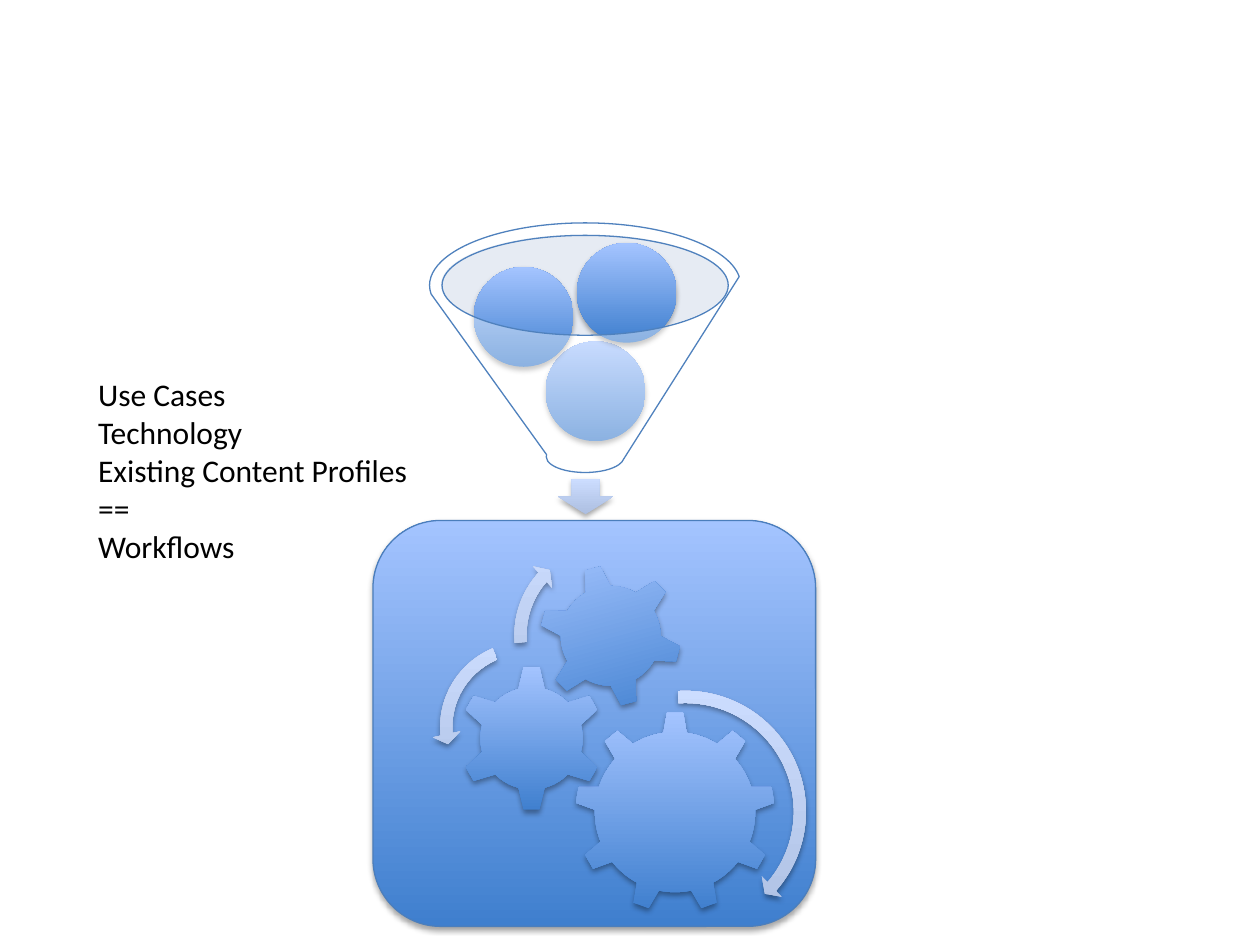
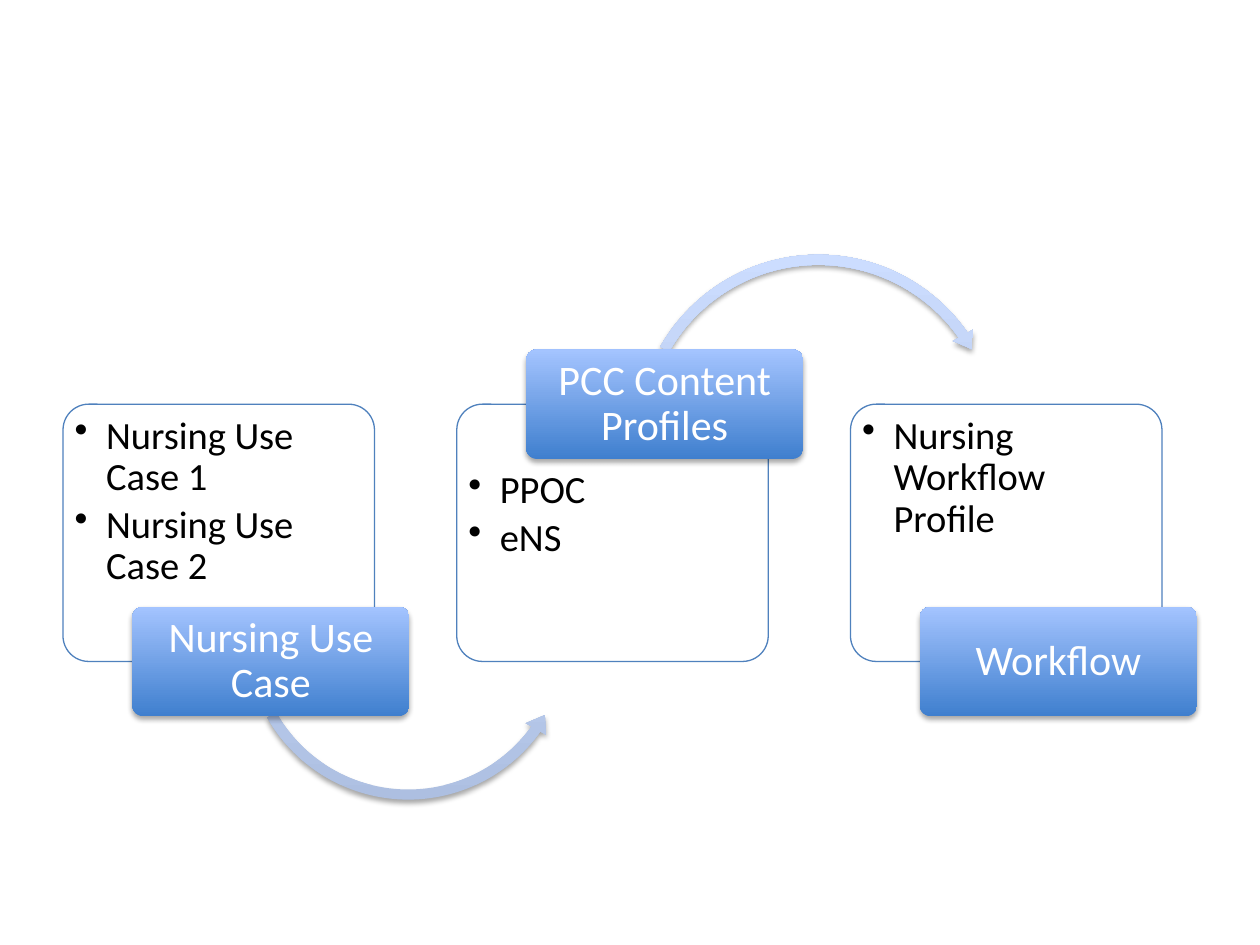
from lxml import etree
from pptx import Presentation
from pptx.dml.color import RGBColor
from pptx.enum.shapes import MSO_SHAPE
from pptx.enum.text import MSO_ANCHOR, MSO_AUTO_SIZE, PP_ALIGN
from pptx.oxml.ns import qn
from pptx.util import Pt

ELLIPSE = MSO_SHAPE.OVAL
ROUNDED = MSO_SHAPE.ROUNDED_RECTANGLE
DOWN_ARROW = MSO_SHAPE.DOWN_ARROW
FUNNEL = MSO_SHAPE.FUNNEL
GEAR_6 = MSO_SHAPE.GEAR_6
GEAR_9 = MSO_SHAPE.GEAR_9
CLOCKWISE = MSO_SHAPE.CIRCULAR_ARROW
COUNTERCLOCKWISE = MSO_SHAPE.LEFT_CIRCULAR_ARROW
TOP, MIDDLE = MSO_ANCHOR.TOP, MSO_ANCHOR.MIDDLE
LEFT, CENTER = PP_ALIGN.LEFT, PP_ALIGN.CENTER
GROW = MSO_AUTO_SIZE.SHAPE_TO_FIT_TEXT

FONT = "Calibri"
BLACK, WHITE = "000000", "FFFFFF"
OUTLINE, PANEL_OUTLINE = "4F81BD", "4B7EBC"
FUNNEL_MOUTH = "C2CDE1"
STRONG = ("3F7FCE", "A4C4FF")
PALE = ("ADBFE1", "CCDDFF")


def rgb(value):
    return RGBColor.from_string(value)


class Deck:
    def __init__(self):
        self.presentation = Presentation()
        self.presentation.slide_width = Pt(720)
        self.presentation.slide_height = Pt(540)
        self.slide = None

    def new_slide(self):
        layout = self.presentation.slide_layouts[6]
        self.slide = self.presentation.slides.add_slide(layout)

    def shape(self, preset, left, top, width, height, line=None):
        shape = self.slide.shapes.add_shape(preset, Pt(left), Pt(top), Pt(width), Pt(height))
        shape.shadow.inherit = False
        if line:
            shape.line.color.rgb = rgb(line)
            shape.line.width = Pt(0.75)
        else:
            shape.line.fill.background()
        return shape

    def glass(self, preset, left, top, width, height, color, opacity, line=None):
        shape = self.shape(preset, left, top, width, height, line)
        shape.fill.solid()
        shape.fill.fore_color.rgb = rgb(color)
        tint = shape._element.spPr.find(f"{qn('a:solidFill')}/{qn('a:srgbClr')}")
        etree.SubElement(tint, qn("a:alpha"), val=str(opacity * 1000))
        return shape

    def glossy(self, preset, left, top, width, height, colors=STRONG, line=None):
        shape = self.shape(preset, left, top, width, height, line)
        shape.fill.gradient()
        shape.fill.gradient_angle = 90
        for stop, color in zip(shape.fill.gradient_stops, colors):
            stop.color.rgb = rgb(color)
        effects = shape._element.spPr.find(qn("a:effectLst"))
        shadow = etree.SubElement(
            effects, qn("a:outerShdw"), blurRad=str(Pt(3.1)), dist=str(Pt(1.8)),
            dir="5400000", rotWithShape="0")
        shade = etree.SubElement(shadow, qn("a:srgbClr"), val=BLACK)
        etree.SubElement(shade, qn("a:alpha"), val="35000")
        return shape

    def arc_arrow(self, preset, left, top, size, thickness, head_angle, end, start, head_width):
        arrow = self.glossy(preset, left, top, size, size, PALE)
        arrow.adjustments[0] = thickness / 100
        for index, degrees in enumerate((head_angle, end, start), 1):
            arrow.adjustments[index] = degrees * 0.6
        arrow.adjustments[4] = head_width / 100

    def text(self, left, top, width, height, lines, size, color=BLACK, insets=(7.2, 3.6),
             align=LEFT, anchor=TOP, wrap=True, spacing=None, after=0, bullets=False):
        box = self.slide.shapes.add_textbox(Pt(left), Pt(top), Pt(width), Pt(height))
        frame = box.text_frame
        frame.word_wrap = wrap
        if not wrap:
            frame.auto_size = GROW
        frame.vertical_anchor = anchor
        frame.margin_left = frame.margin_right = Pt(insets[0])
        frame.margin_top = frame.margin_bottom = Pt(insets[1])
        frame.text = "\n".join(lines)
        for paragraph in frame.paragraphs:
            paragraph.alignment = align
            if spacing:
                paragraph.line_spacing = spacing
                paragraph.space_after = Pt(after)
            if bullets:
                paragraph.level = 1
                properties = paragraph._p.get_or_add_pPr()
                properties.set("marL", str(Pt(18)))
                properties.set("indent", str(-Pt(18)))
                etree.SubElement(properties, qn("a:buChar"), char="•")
            paragraph.font.name = FONT
            paragraph.font.size = Pt(size)
            paragraph.font.color.rgb = rgb(color)


def funnel_slide(deck):
    deck.new_slide()
    deck.glass(ELLIPSE, 252, 134, 164, 57, FUNNEL_MOUTH, 40)
    deck.glossy(DOWN_ARROW, 318.8, 273.6, 31.7, 20.2, PALE)
    for left, top in ((311.8, 195.1), (270.7, 152.6), (329.6, 138.8)):
        deck.glossy(ELLIPSE, left, top, 57, 57)
    deck.glass(FUNNEL, 245.5, 127.4, 177.8, 142.6, WHITE, 40, OUTLINE)

    deck.glossy(ROUNDED, 213.1, 297.4, 253, 232, line=PANEL_OUTLINE)
    for preset, left, top, size, rotation in (
            (GEAR_9, 328.5, 406.8, 114.5, 0),
            (GEAR_6, 262, 380.2, 83.5, 0),
            (GEAR_6, 308.2, 322.6, 81.5, 345)):
        deck.glossy(preset, left, top, size, size).rotation = rotation
    deck.arc_arrow(CLOCKWISE, 318.2, 390.2, 147, 4.7, 4.98, 41.04, 266.37, 5.5)
    deck.arc_arrow(COUNTERCLOCKWISE, 247, 362.2, 106.6, 6.5, 7.17, 174.82, 247.3, 7.5)
    deck.arc_arrow(CLOCKWISE, 289.4, 305.3, 115.2, 6, 6.57, 221.9, 175.14, 7)

    deck.text(49, 211, 194.4, 116.6,
              ("Use Cases", "Technology", "Existing Content Profiles", "==", "Workflows"),
              18, wrap=False)


def process_slide(deck):
    deck.new_slide()
    card_top, card_width, card_height = 231, 178, 147
    label_width, label_height = 158.4, 62.6
    steps = (
        ("Nursing Use Case", ("Nursing Use Case 1", "Nursing Use Case 2"), False,
         (COUNTERCLOCKWISE, 136.8, 267.8, 193, 3, 6.06, 35.65, 150.41, 3.5)),
        ("PCC Content Profiles", ("PPOC", "eNS"), True,
         (CLOCKWISE, 360, 141.8, 215.3, 2.7, 5.38, 325.03, 209.59, 3.1)),
        ("Workflow", ("Nursing Workflow Profile",), False, None),
    )
    for index, (label, items, label_above, arrow) in enumerate(steps):
        left = 36 + index * 225
        items_top = card_top + 3.4 + (label_height / 2 if label_above else 0)
        label_left = left + 39.6
        label_top = card_top + (0 if label_above else card_height) - label_height / 2

        card = deck.glass(ROUNDED, left, card_top, card_width, card_height, WHITE, 90, OUTLINE)
        card.adjustments[0] = 0.1
        deck.text(left + 3.4, items_top, 171.2, 108.7, items, 22, insets=(3.3, 3.3),
                  spacing=0.9, after=3.3, bullets=True)
        if arrow:
            deck.arc_arrow(*arrow)
        plate = deck.glossy(ROUNDED, label_left, label_top, label_width, label_height)
        plate.adjustments[0] = 0.1
        deck.text(label_left + 1.8, label_top + 1.8, label_width - 3.6, label_height - 3.6,
                  (label,), 24, WHITE, (3.6, 2.4), CENTER, MIDDLE, spacing=0.9, after=8.4)


def main():
    deck = Deck()
    funnel_slide(deck)
    process_slide(deck)
    deck.presentation.save("out.pptx")


if __name__ == "__main__":
    main()
